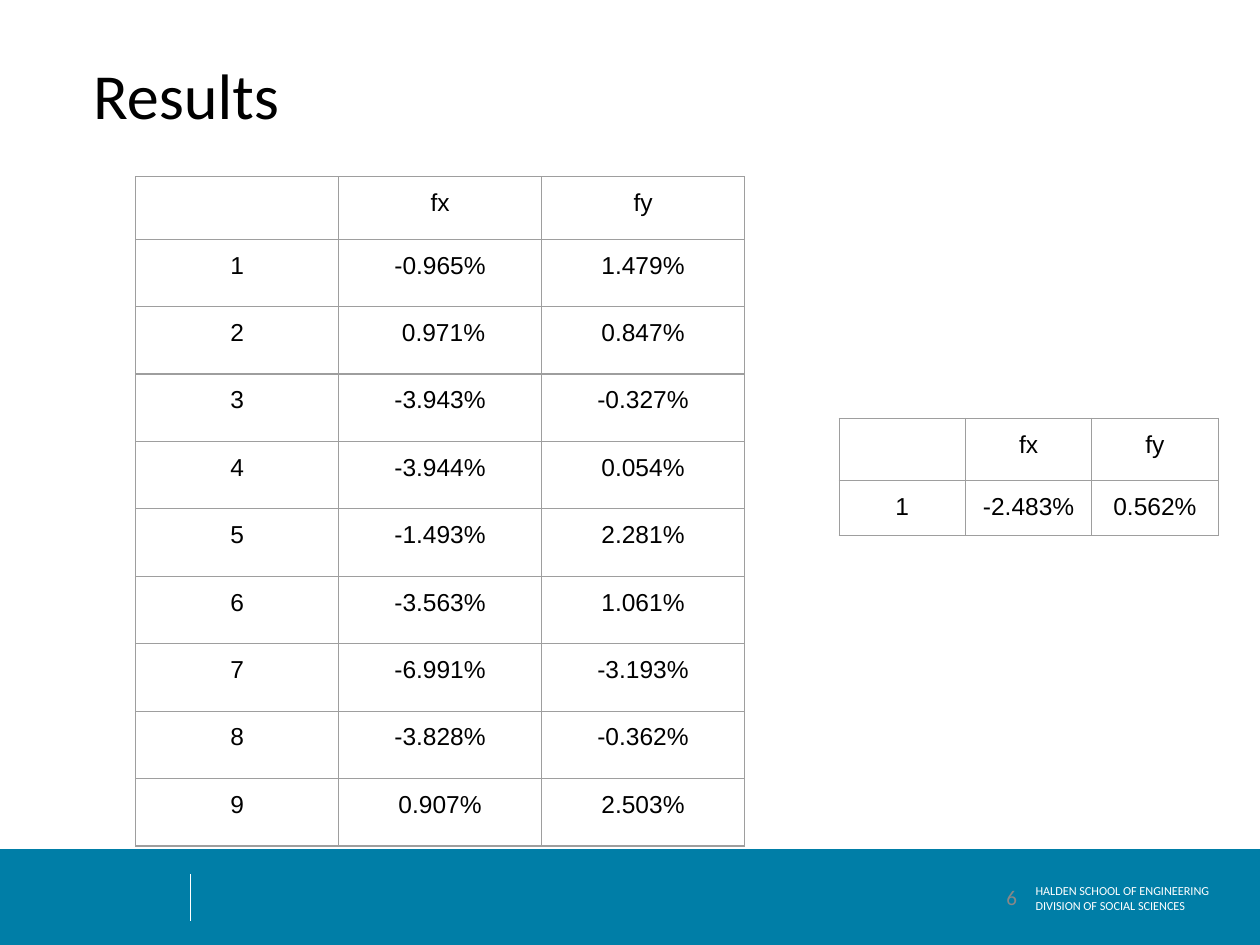
import pptx
import pptx.util
import pptx.dml.color
import pptx.enum.shapes
import pptx.enum.text
import pptx.oxml
import pptx.oxml.ns
from lxml import etree

Pt = pptx.util.Pt
RGB = pptx.dml.color.RGBColor.from_string
ALIGN = pptx.enum.text.PP_ALIGN
ANCHOR = pptx.enum.text.MSO_ANCHOR
qn = pptx.oxml.ns.qn

THEME = {
    "band": "007EA7", "white": "FFFFFF", "ink": "000000",
    "grid": "9E9E9E", "page": "888888",
    "head": "Calibri", "body": "Arial",
    "title": 36.7, "cell": 14, "num": 12, "unit": 7,
}


def style(para, face, size, color, align):
    font = para.font
    font.name = THEME[face]
    font.size = Pt(THEME[size])
    font.color.rgb = RGB(THEME[color])
    para.alignment = align


def grid(left, top, width, heights, rows):
    """Add a plain ruled table with equal columns."""
    cols = len(rows[0])
    frame = slide.shapes.add_table(len(rows), cols, Pt(left), Pt(top),
                                   Pt(width * cols), Pt(sum(heights)))
    table = frame.table
    table.first_row = table.horz_banding = False
    for col in table.columns:
        col.width = Pt(width)
    for row, height, texts in zip(table.rows, heights, rows):
        row.height = Pt(height)
        for cell, text in zip(row.cells, texts):
            cell.margin_left = cell.margin_right = Pt(7.2)
            cell.margin_top = cell.margin_bottom = Pt(7.2)
            cell.text = text
            style(cell.text_frame.paragraphs[0], "body", "cell", "ink", ALIGN.CENTER)
            props = cell._tc.get_or_add_tcPr()
            for side in ("lnL", "lnR", "lnT", "lnB"):
                line = etree.SubElement(props, qn("a:" + side), w=str(Pt(0.75)))
                fill = etree.SubElement(line, qn("a:solidFill"))
                etree.SubElement(fill, qn("a:srgbClr"), val=THEME["grid"])
            cell.fill.background()


prs = pptx.Presentation()
prs.slide_width, prs.slide_height = Pt(720), Pt(540)
slide = prs.slides.add_slide(prs.slide_layouts[5])

# Footer band and divider
band = slide.shapes.add_shape(pptx.enum.shapes.MSO_SHAPE.RECTANGLE,
                              0, Pt(485.3), Pt(720), Pt(54.7))
band.shadow.inherit = False
band.fill.solid()
band.fill.fore_color.rgb = RGB(THEME["band"])
band.line.fill.background()

rule = slide.shapes.add_connector(pptx.enum.shapes.MSO_CONNECTOR.STRAIGHT,
                                  Pt(108.7), Pt(499.7), Pt(108.7), Pt(526.3))
rule.line.color.rgb = RGB(THEME["white"])
rule.line.width = Pt(0.75)
etree.SubElement(rule._element.spPr, qn("a:effectLst"))

# Footer unit names
unit = slide.shapes.add_textbox(Pt(565.2), Pt(505.4), Pt(163.4), Pt(15.8)).text_frame
unit.word_wrap = True
unit.vertical_anchor = ANCHOR.MIDDLE
unit.margin_left = unit.margin_right = unit.margin_top = unit.margin_bottom = 0
unit.text = "HALDEN SCHOOL OF ENGINEERING\nDIVISION OF SOCIAL SCIENCES"
for para in unit.paragraphs:
    style(para, "head", "unit", "white", ALIGN.LEFT)
    para._p.get_or_add_pPr().set("indent", str(Pt(26.6)))

# Title
title = slide.shapes.title
title.left, title.top, title.width, title.height = Pt(46), Pt(28.8), Pt(572.4), Pt(51.1)
title.text_frame.text = "Results"
title.text_frame.auto_size = pptx.enum.text.MSO_AUTO_SIZE.NONE
title.text_frame.vertical_anchor = ANCHOR.BOTTOM
para = title.text_frame.paragraphs[0]
style(para, "head", "title", "ink", ALIGN.LEFT)
para.line_spacing = 0.9

# Result tables
head = ("", "fx", "fy")
runs = [
    ("-0.965%", "1.479%"),
    (" 0.971%", "0.847%"),
    ("-3.943%", "-0.327%"),
    ("-3.944%", "0.054%"),
    ("-1.493%", "2.281%"),
    ("-3.563%", "1.061%"),
    ("-6.991%", "-3.193%"),
    ("-3.828%", "-0.362%"),
    ("0.907%", "2.503%"),
]
rows = [(str(num), *pair) for num, pair in enumerate(runs, 1)]
grid(77.5, 101, 116, [35.7] + [38.55] * len(rows), [head] + rows)
grid(479.5, 239.1, 72.2, [35.7, 30.8], [head, ("1", "-2.483%", "0.562%")])

# Page number
page = slide.shapes.add_textbox(Pt(416.9), Pt(498.2), Pt(167.8), Pt(28.8)).text_frame
page.word_wrap = True
page.vertical_anchor = ANCHOR.MIDDLE
page.margin_left = page.margin_right = page.margin_top = page.margin_bottom = Pt(3.6)
page.text = "6"
style(page.paragraphs[0], "head", "num", "page", ALIGN.RIGHT)

prs.save("out.pptx")
